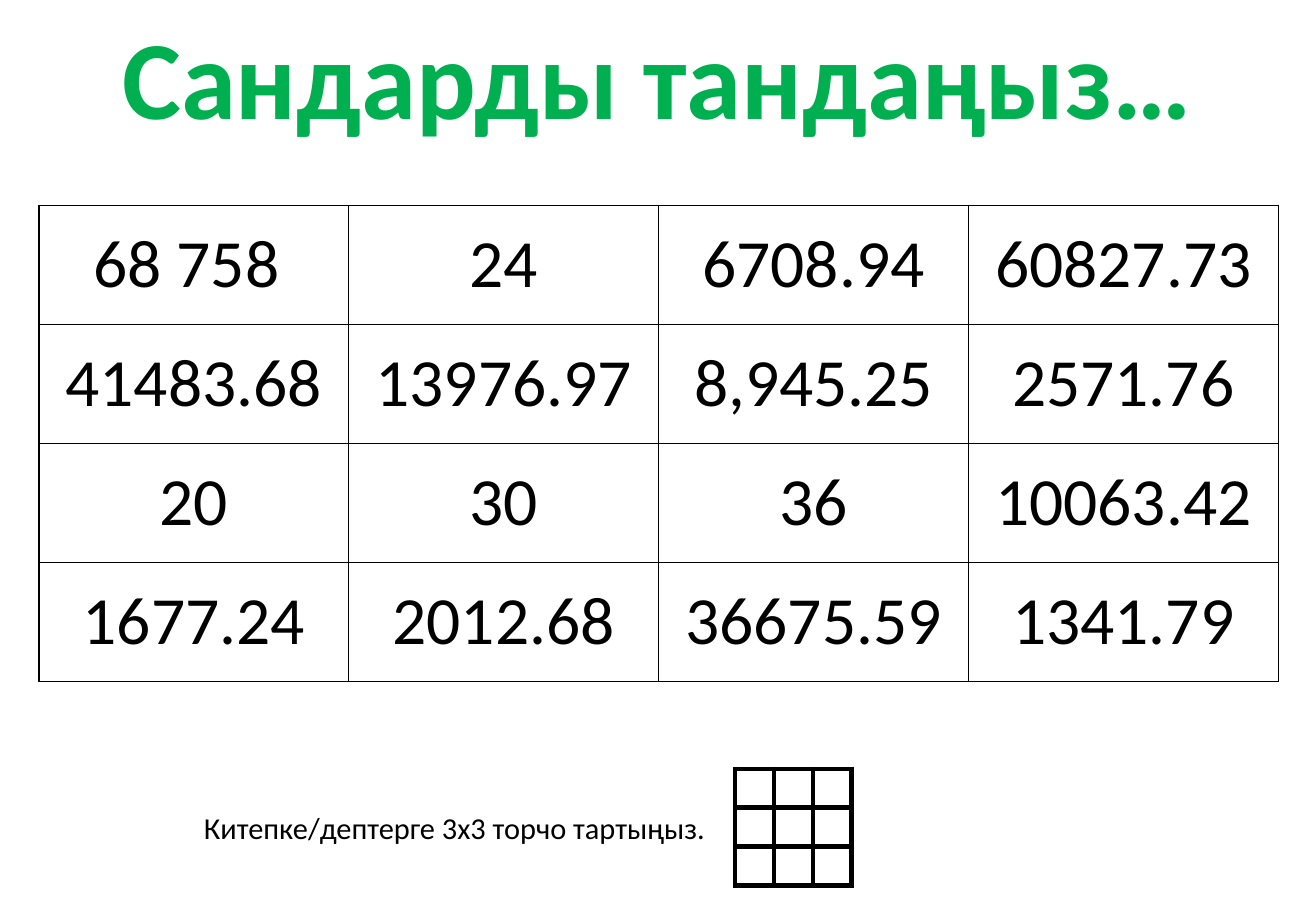
from lxml import etree
from pptx import Presentation
from pptx.dml.color import RGBColor
from pptx.enum import text as t
from pptx.oxml import ns
from pptx.util import Inches, Pt

BLACK = RGBColor(0x00, 0x00, 0x00)
WHITE = RGBColor(0xFF, 0xFF, 0xFF)
GREEN = RGBColor(0x00, 0xB0, 0x50)

NUMBERS = [
    ["68 758 ", "24", "6708.94", "60827.73"],
    ["41483.68", "13976.97", "8,945.25", "2571.76"],
    ["20", "30", "36", "10063.42"],
    ["1677.24", "2012.68", "36675.59", "1341.79"],
]
EMPTY_GRID = [[""] * 3] * 3


def write(frame, text, size=18, color=BLACK, bold=False, align=t.PP_ALIGN.LEFT):
    paragraph = frame.paragraphs[0]
    paragraph.alignment = align
    run = paragraph.add_run()
    run.text = text
    run.font.name = "Calibri"
    run.font.size = Pt(size)
    run.font.bold = bold
    run.font.color.rgb = color


def add_grid(slide, rows, left, top, cell_width, cell_height, border, size):
    """Add a white table of equal cells with black borders of the given points."""
    row_count, column_count = len(rows), len(rows[0])
    table = slide.shapes.add_table(
        row_count, column_count, Inches(left), Inches(top),
        Inches(cell_width * column_count), Inches(cell_height * row_count)).table
    table.first_row = table.horz_banding = False
    for column in table.columns:
        column.width = Inches(cell_width)
    for row, values in zip(table.rows, rows):
        row.height = Inches(cell_height)
        for cell, value in zip(row.cells, values):
            cell.margin_left = cell.margin_right = 0
            cell.margin_top = cell.margin_bottom = 0
            cell.vertical_anchor = t.MSO_ANCHOR.MIDDLE
            properties = cell._tc.get_or_add_tcPr()
            for side in ("a:lnL", "a:lnR", "a:lnT", "a:lnB"):
                line = etree.SubElement(properties, ns.qn(side), w=str(Pt(border)))
                fill = etree.SubElement(line, ns.qn("a:solidFill"))
                etree.SubElement(fill, ns.qn("a:srgbClr"), val=str(BLACK))
            cell.fill.solid()
            cell.fill.fore_color.rgb = WHITE
            if value:
                write(cell.text_frame, value, size=size, align=t.PP_ALIGN.CENTER)


presentation = Presentation()
presentation.slide_width = Inches(10.83)
presentation.slide_height = Inches(7.5)
slide = presentation.slides.add_slide(presentation.slide_layouts[6])

add_grid(slide, NUMBERS, 0.32, 1.69, 2.55, 0.98, border=1, size=40)

title = slide.shapes.add_textbox(Inches(0.79), Inches(0.02), Inches(9.24), Inches(1.21))
title.text_frame.word_wrap = False
write(title.text_frame, "Сандарды тандаңыз…", size=66, color=GREEN, bold=True,
      align=t.PP_ALIGN.CENTER)

add_grid(slide, EMPTY_GRID, 6.05, 6.33, 0.32, 0.32, border=3, size=18)

instruction = slide.shapes.add_textbox(Inches(1.58), Inches(6.61), Inches(4.38), Inches(0.4))
instruction.text_frame.word_wrap = False
write(instruction.text_frame, "Китепке/дептерге 3х3 торчо тартыңыз.")

presentation.save("out.pptx")
